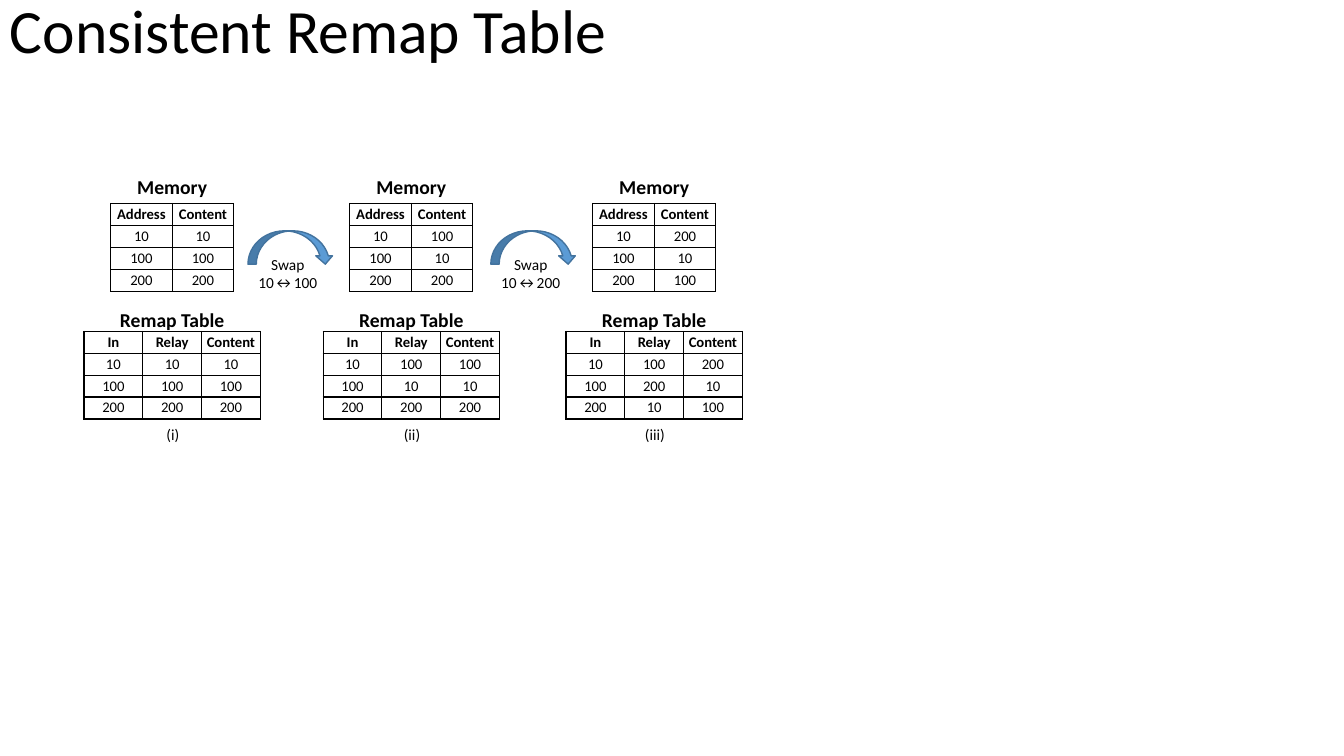
import dataclasses

import lxml.etree
import pptx
import pptx.dml.color
import pptx.enum.shapes
import pptx.enum.text
import pptx.oxml.ns
import pptx.util

Pt = pptx.util.Pt
ALIGN = pptx.enum.text.PP_ALIGN


@dataclasses.dataclass(frozen=True)
class Theme:
    """Colours, font and type sizes of the slide."""
    font: str = "Calibri"
    ink: str = "000000"
    arrow_fill: str = "5B9BD5"
    arrow_line: str = "43739E"
    title: float = 44
    heading: float = 14
    label: float = 11
    cell: float = 10.5
    line: float = 1


def rgb(value):
    """Turn a hex string into a colour."""
    return pptx.dml.color.RGBColor.from_string(value)


def add_border(cell, color, width):
    """Draw a solid line on all four sides of a table cell."""
    properties = cell._tc.get_or_add_tcPr()
    for side in ("lnL", "lnR", "lnT", "lnB"):
        line = lxml.etree.SubElement(
            properties, pptx.oxml.ns.qn(f"a:{side}"), w=str(int(Pt(width))))
        fill = lxml.etree.SubElement(line, pptx.oxml.ns.qn("a:solidFill"))
        lxml.etree.SubElement(fill, pptx.oxml.ns.qn("a:srgbClr"), val=color)


class Painter:
    """Holds the theme and the current slide, and adds elements to it."""

    def __init__(self, page, theme):
        """Keep the slide and its theme."""
        self.page = page
        self.theme = theme

    def format_text(self, frame, size, bold=False, align=ALIGN.CENTER):
        """Give every paragraph and run in a text frame the same style."""
        for para in frame.paragraphs:
            para.alignment = align
            for span in para.runs:
                span.font.name = self.theme.font
                span.font.size = Pt(size)
                span.font.bold = bold
                span.font.color.rgb = rgb(self.theme.ink)

    def title(self, text, width, height):
        """Add the slide title at the top left."""
        box = self.page.shapes.add_textbox(0, 0, Pt(width), Pt(height))
        frame = box.text_frame
        frame.text = text
        frame.word_wrap = True
        frame.margin_top = frame.margin_bottom = 0
        frame.vertical_anchor = pptx.enum.text.MSO_ANCHOR.MIDDLE
        frame.paragraphs[0].line_spacing = 0.9
        self.format_text(frame, self.theme.title, align=ALIGN.LEFT)

    def label(self, text, center, top, width, height, size, bold=False):
        """Add text centred on a given horizontal position."""
        box = self.page.shapes.add_textbox(
            Pt(center - width / 2), Pt(top), Pt(width), Pt(height))
        box.text_frame.text = text
        box.text_frame.word_wrap = False
        self.format_text(box.text_frame, size, bold)

    def arrow(self, left, top, width, height):
        """Add a curved arrow that leads to the next step."""
        shape = self.page.shapes.add_shape(
            pptx.enum.shapes.MSO_SHAPE.CURVED_DOWN_ARROW,
            Pt(left), Pt(top), Pt(width), Pt(height))
        shape.shadow.inherit = False
        shape.fill.solid()
        shape.fill.fore_color.rgb = rgb(self.theme.arrow_fill)
        shape.line.color.rgb = rgb(self.theme.arrow_line)
        shape.line.width = Pt(self.theme.line)

    def table(self, rows, center, top, column_width, row_height):
        """Add a ruled table with a bold first row, centred on a position."""
        width = column_width * len(rows[0])
        table = self.page.shapes.add_table(
            len(rows), len(rows[0]), Pt(center - width / 2), Pt(top),
            Pt(width), Pt(row_height * len(rows))).table
        table.first_row = table.horz_banding = False
        for column in table.columns:
            column.width = Pt(column_width)
        for row_index, values in enumerate(rows):
            table.rows[row_index].height = Pt(row_height)
            for column_index, value in enumerate(values):
                cell = table.cell(row_index, column_index)
                cell.text_frame.text = str(value)
                cell.margin_left = cell.margin_right = Pt(2.9)
                cell.margin_top = cell.margin_bottom = Pt(1.4)
                add_border(cell, self.theme.ink, self.theme.line)
                cell.fill.background()
                self.format_text(
                    cell.text_frame, self.theme.cell, bold=row_index == 0)


ADDRESSES = (10, 100, 200)
ROW_HEIGHT = 15.65
# Step name, centre, relay column, content column
STEPS = (
    ("(i)", 123, (10, 100, 200), (10, 100, 200)),
    ("(ii)", 293.8, (100, 10, 200), (100, 10, 200)),
    ("(iii)", 467.3, (100, 200, 10), (200, 10, 100)),
)
# Swapped addresses, left edge of the arrow
SWAPS = (("10↔100", 177.1), ("10↔200", 350.6))


def draw_step(painter, name, center, relay, content):
    """Draw the memory and the remap table of one step."""
    theme = painter.theme
    memory = [("Address", "Content"), *zip(ADDRESSES, content)]
    remap = [("In", "Relay", "Content"), *zip(ADDRESSES, relay, content)]
    painter.label("Memory", center, 121.7, 70, 24.2, theme.heading, True)
    painter.table(memory, center, 145.4, 44, ROW_HEIGHT)
    painter.label("Remap Table", center, 216.3, 96, 24.2, theme.heading, True)
    painter.table(remap, center, 236.7, 42, ROW_HEIGHT)
    painter.label(name, center + 0.5, 300.3, 40, 20.6, theme.label)


def draw_swap(painter, addresses, left):
    """Draw the arrow between two steps and the swap it stands for."""
    painter.arrow(left, 164.9, 61.2, 23.8)
    painter.label(f"Swap\n{addresses}", left + 28.5, 178.4, 64, 33.9,
                  painter.theme.label)


def main():
    """Build the slide and save it."""
    deck = pptx.Presentation()
    deck.slide_width, deck.slide_height = Pt(960), Pt(540)
    page = deck.slides.add_slide(deck.slide_layouts[6])
    painter = Painter(page, Theme())
    painter.title("Consistent Remap Table", 828, 48.2)
    for step in STEPS:
        draw_step(painter, *step)
    for swap in SWAPS:
        draw_swap(painter, *swap)
    deck.save("out.pptx")


main()
